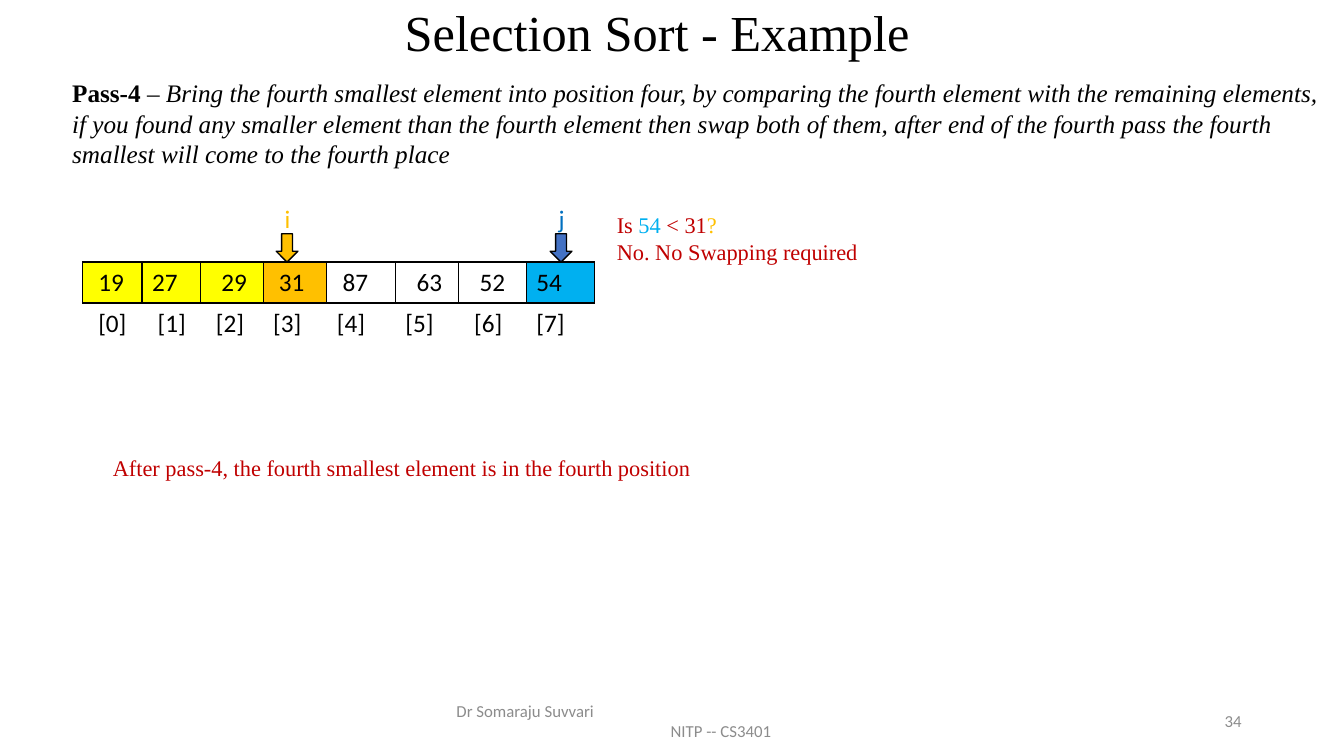
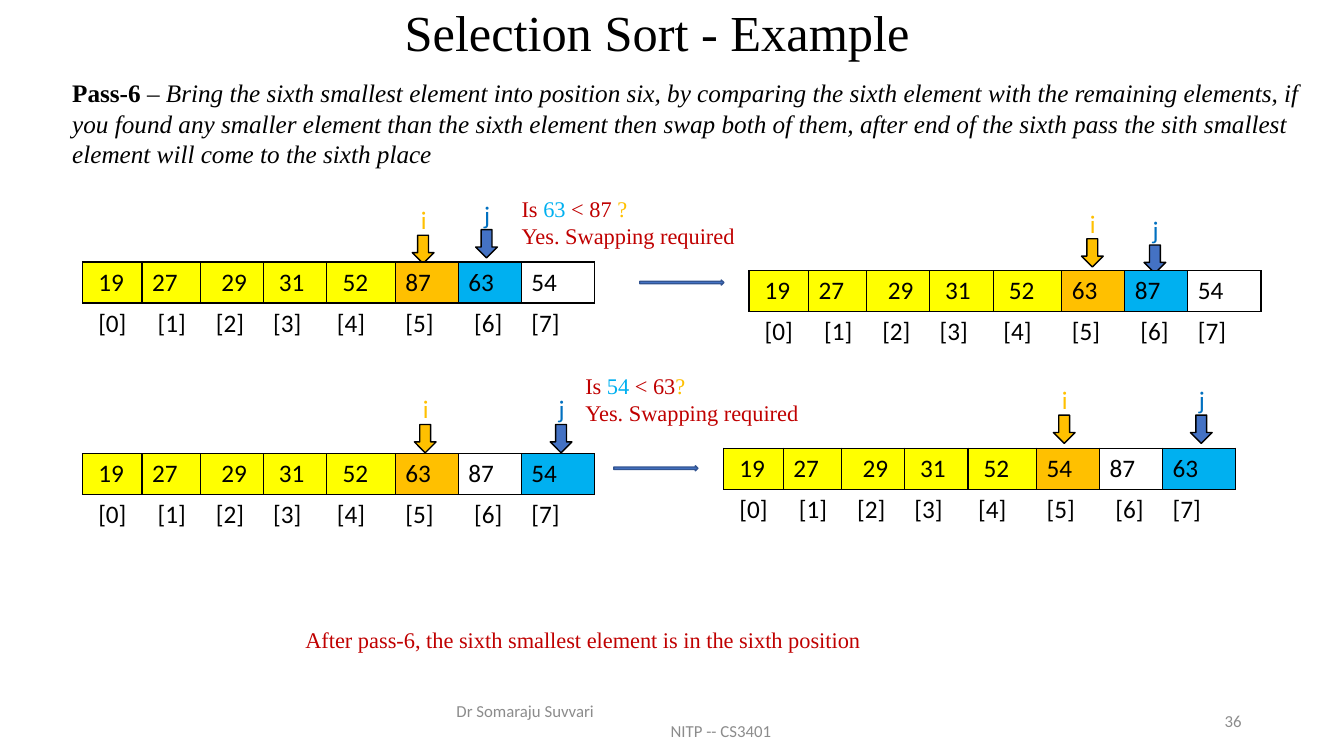
import pptx
import pptx.util
import pptx.dml.color
import pptx.enum.shapes
import pptx.enum.text
import pptx.oxml
import pptx.oxml.ns

Pt = pptx.util.Pt
ALIGN = pptx.enum.text.PP_ALIGN
ANCHOR = pptx.enum.text.MSO_ANCHOR
SHAPE = pptx.enum.shapes.MSO_SHAPE

COLORS = {
    "text": "000000", "footer": "8C8C8C", "note": "C00000", "sorted": "FFFF00",
    "i": "FFC000", "j": "00B0F0", "open": "FFFFFF", "j_label": "0070C0",
    "arrow": "4472C4", "arrow_line": "325491",
}
FORMATS = {
    "title": {"name": "Times New Roman", "size": Pt(36)},
    "body": {"name": "Times New Roman", "size": Pt(18)},
    "note": {"name": "Times New Roman", "size": Pt(16)},
    "cell": {"name": "Calibri", "size": Pt(18)},
    "footer": {"name": "Calibri", "size": Pt(12)},
}
NO_GRID_STYLE = "{2D5ABB26-0587-4C30-8999-92F81FD0307C}"
ROW_HEIGHT = 29.2
SPACE = 4
INDEX_INDENTS = (1, 1, 1, 0, 0, 0, 1, 0)


def rgb(name):
    return pptx.dml.color.RGBColor.from_string(COLORS[name])


def add_run(p, text, fmt, color="text", **extra):
    r = p.add_run()
    r.text = text
    for key, value in {**FORMATS[fmt], **extra}.items():
        setattr(r.font, key, value)
    r.font.color.rgb = rgb(color)


def add_text(shapes, x, y, w, h, lines, fmt):
    sp = shapes.add_textbox(Pt(x), Pt(y), Pt(w), Pt(h))
    tf = sp.text_frame
    tf.word_wrap = True
    for n, runs in enumerate(lines):
        p = tf.add_paragraph() if n else tf.paragraphs[0]
        for text, color, extra in runs:
            add_run(p, text, fmt, color, **extra)
    return tf


def add_arrow(shapes, kind, x, y, w, h, fill, line):
    sp = shapes.add_shape(kind, Pt(x), Pt(y), Pt(w), Pt(h))
    sp.shadow.inherit = False
    sp.fill.solid()
    sp.fill.fore_color.rgb = rgb(fill)
    sp.line.color.rgb = rgb(line)
    sp.line.width = Pt(1)


def add_marker(s, label, x, y):
    fill, color = {"i": ("i", "i"), "j": ("arrow", "j_label")}[label]
    shapes = s.shapes.add_group_shape().shapes
    add_arrow(shapes, SHAPE.DOWN_ARROW, x, y, 15.5, 20.2, fill, "text")
    add_text(shapes, x - 1, y - 25.5, 30, 29, [[(label, color, {})]], "cell")


def add_borders(cell, sides):
    tcPr = cell._tc.get_or_add_tcPr()
    for side in sides:
        tcPr.append(pptx.oxml.parse_xml(
            f'<a:ln{side} {pptx.oxml.ns.nsdecls("a")} w="12700"><a:solidFill>'
            f'<a:srgbClr val="{COLORS["text"]}"/></a:solidFill></a:ln{side}>'))


def fill_cell(cell, text, indent, sides):
    add_borders(cell, sides)
    cell.margin_left = Pt(7.2 + SPACE * indent)
    cell.margin_right = 0
    add_run(cell.text_frame.paragraphs[0], text, "cell")


def add_array(s, x, y, values, i, j, i_at, j_at, widths, indents):
    add_marker(s, "i", *i_at)
    add_marker(s, "j", *j_at)
    table = s.shapes.add_table(2, len(values), Pt(x), Pt(y), Pt(sum(widths)),
                               Pt(2 * ROW_HEIGHT)).table
    table.first_row = table.horz_banding = False
    table._tbl.tblPr.find(pptx.oxml.ns.qn("a:tableStyleId")).text = NO_GRID_STYLE
    for row in table.rows:
        row.height = Pt(ROW_HEIGHT)
    for n, value in enumerate(values):
        table.columns[n].width = Pt(widths[n])
        cell = table.cell(0, n)
        fill_cell(cell, str(value), indents[n], "LRTB")
        state = "sorted" if n < i else {i: "i", j: "j"}.get(n, "open")
        cell.fill.solid()
        cell.fill.fore_color.rgb = rgb(state)
        cell = table.cell(1, n)
        fill_cell(cell, f"[{n}]", INDEX_INDENTS[n], "T")
        cell.fill.background()


def add_question(s, x, y, left, right, answer):
    question = [("Is ", "note", {}), (f"{left} ", "j", {}),
                (f"< {right}", "note", {}), ("?", "i", {})]
    add_text(s.shapes, x, y, 225, 46, [question, [(answer, "note", {})]], "note")


def add_conclusion(s, x, y, text):
    add_text(s.shapes, x, y, 492, 27, [[(text, "note", {})]], "note")


def add_footer(s, number):
    lines = [[(text, "footer", {})] for text in ("Dr Somaraju Suvvari", "NITP -- CS3401")]
    tf = add_text(s.shapes, 318, 500.5, 324, 29, lines, "footer")
    tf.vertical_anchor = ANCHOR.MIDDLE
    for p, indent in zip(tf.paragraphs, (1, 154)):
        p._p.get_or_add_pPr().set("marL", str(Pt(indent)))
    tf = add_text(s.shapes, 678, 500.5, 216, 29, [[(number, "footer", {})]], "footer")
    tf.vertical_anchor = ANCHOR.MIDDLE
    tf.paragraphs[0].alignment = ALIGN.RIGHT


def add_pass_slide(prs, label, explanation, number):
    s = prs.slides.add_slide(prs.slide_layouts[5])
    sp = s.shapes.title
    sp.left, sp.top, sp.width, sp.height = Pt(155), Pt(7), Pt(629), Pt(36)
    tf = sp.text_frame
    tf.auto_size = pptx.enum.text.MSO_AUTO_SIZE.NONE
    tf.vertical_anchor = ANCHOR.MIDDLE
    p = tf.paragraphs[0]
    p.alignment = ALIGN.CENTER
    p.line_spacing = 0.9
    add_run(p, "Selection Sort - Example", "title")
    runs = [(f"{label} ", "text", {"bold": True}), ("– ", "text", {}),
            (explanation, "text", {"italic": True})]
    add_text(s.shapes, 44.5, 52, 906, 73, [runs], "body")
    add_footer(s, number)
    return s


def main():
    prs = pptx.Presentation()
    prs.slide_width, prs.slide_height = Pt(960), Pt(540)

    s = add_pass_slide(
        prs, "Pass-4",
        "Bring the fourth smallest element into position four, by comparing the fourth "
        "element with the remaining elements, if you found any smaller element than the "
        "fourth element then swap both of them, after end of the fourth pass the fourth "
        "smallest will come to the fourth place", "34")
    add_array(s, 59, 187.2, (19, 27, 29, 31, 87, 63, 52, 54), 3, 7, (197.3, 167), (393, 167),
              (42.5, 41.5, 45, 45.5, 49, 45, 48.5, 48.75), (1, 0, 2, 1, 1, 2, 2, 0))
    add_question(s, 433.5, 147, 54, 31, "No. No Swapping required")
    add_conclusion(s, 73.5, 320.5, "After pass-4, the fourth smallest element is in the fourth position")

    s = add_pass_slide(
        prs, "Pass-6",
        "Bring the sixth smallest element into position six, by comparing the sixth "
        "element with the remaining elements, if you found any smaller element than the "
        "sixth element then swap both of them, after end of the sixth pass the sith "
        "smallest element will come to the sixth place", "36")
    widths = (42.5, 41.5, 45, 45.5, 49, 45, 45, 52.25)
    indents = (1, 0, 2, 1, 1, 0, 0, 0)
    done = (19, 27, 29, 31, 52)
    steps = [
        (59, 187.2, (87, 63, 54), 6, (294.5, 168), (339.8, 164)),
        (535, 193.5, (63, 87, 54), 6, (772.5, 170.5), (817.2, 175)),
        (59, 324, (63, 87, 54), 7, (296, 303.2), (393, 303.2)),
        (517, 320.2, (54, 87, 63), 7, (752.4, 296.5), (850.3, 296.5)),
    ]
    for x, y, rest, j, i_at, j_at in steps:
        add_array(s, x, y, done + rest, 5, j, i_at, j_at, widths, indents)
    for x, y in ((457, 200), (438.5, 332.7)):
        add_arrow(s.shapes, SHAPE.RIGHT_ARROW, x, y, 60, 3.6, "arrow", "arrow_line")
    add_question(s, 365.5, 136, 63, "87 ", "Yes. Swapping required")
    add_question(s, 411, 262, 54, 63, "Yes. Swapping required")
    add_conclusion(s, 211, 443.5, "After pass-6, the sixth smallest element is in the sixth position")

    prs.save("out.pptx")


if __name__ == "__main__":
    main()
